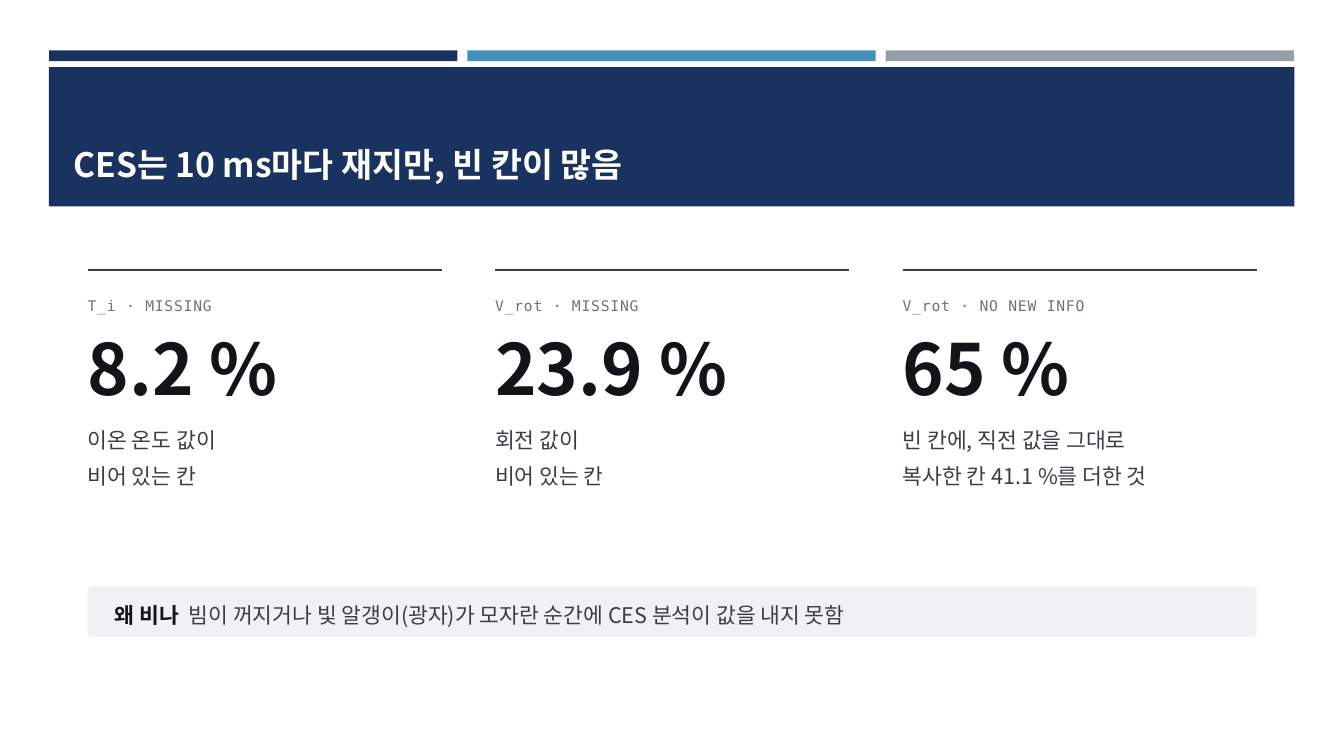
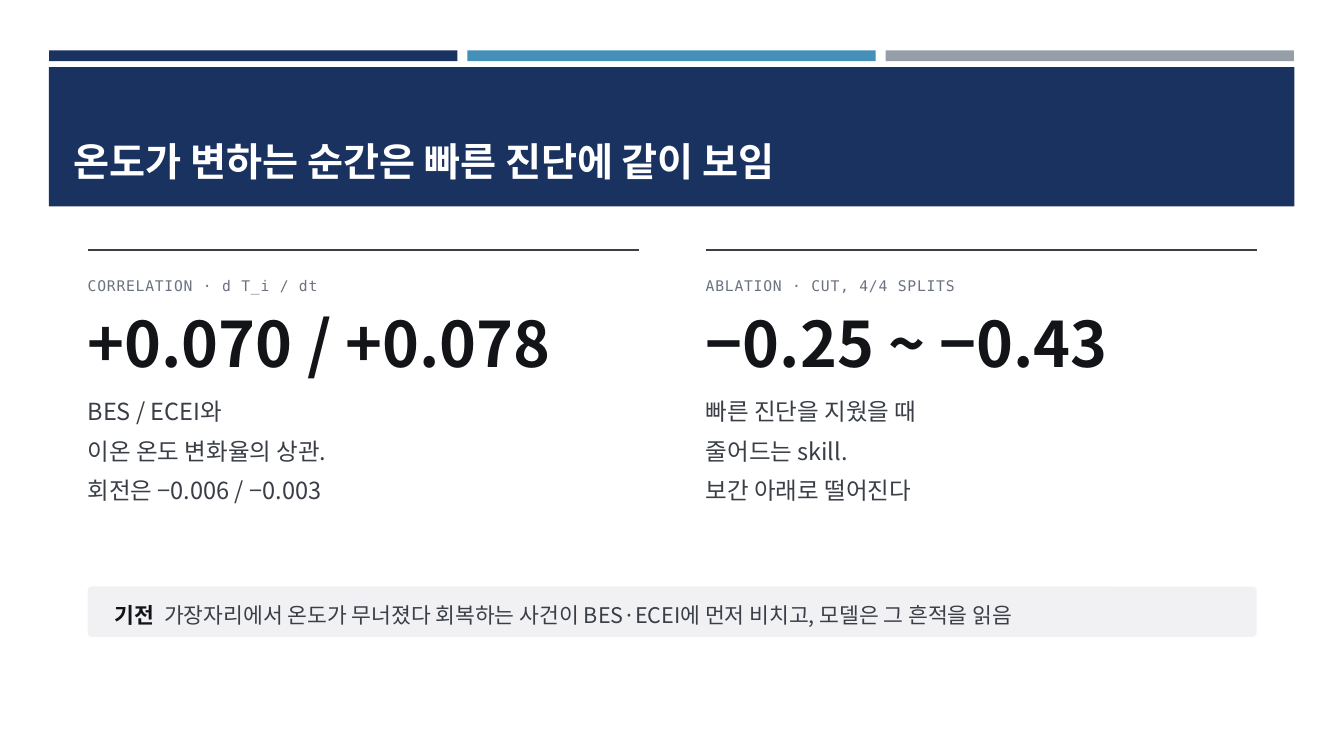
from lxml import etree
from pptx import Presentation
from pptx.dml.color import RGBColor
from pptx.enum.shapes import MSO_CONNECTOR, MSO_SHAPE
from pptx.enum.text import MSO_ANCHOR, MSO_AUTO_SIZE, PP_ALIGN
from pptx.oxml.ns import qn
from pptx.util import Cm, Pt

RECT, ROUND_RECT = MSO_SHAPE.RECTANGLE, MSO_SHAPE.ROUNDED_RECTANGLE
STRAIGHT = MSO_CONNECTOR.STRAIGHT
TOP, MIDDLE, BOTTOM = MSO_ANCHOR.TOP, MSO_ANCHOR.MIDDLE, MSO_ANCHOR.BOTTOM
LEFT, NO_FIT = PP_ALIGN.LEFT, MSO_AUTO_SIZE.NONE

# Shared look
NAVY, BLUE, GREY = "1A3260", "4590B8", "969FA7"
WHITE, INK, BODY, MUTED, PANEL = "FFFFFF", "121418", "3A3F47", "6B7280", "F1F1F4"
SANS, MONO = "Noto Sans CJK KR", "DejaVu Sans Mono"

# Content area, in centimetres
MARGIN, CONTENT_W = 2.21, 29.46


def rgb(value):
    return RGBColor.from_string(value)


def style(name, size, color, bold=False, spacing=0):
    return {"font": {"name": name, "size": Pt(size), "bold": bold},
            "color": color, "spacing": spacing}


LABEL = style(MONO, 10.5, MUTED, spacing=0.6)
NOTE_HEAD = style(SANS, 15.4, INK, bold=True)
NOTE_GAP = style(SANS, 15.4, INK, bold=True, spacing=3.4)
NOTE_BODY = style(SANS, 15.4, BODY)


def add_run(p, text, look):
    r = p.add_run()
    r.text = text
    for key, value in look["font"].items():
        setattr(r.font, key, value)
    r.font.color.rgb = rgb(look["color"])
    # East Asian typeface and letter spacing
    props = r.font._element
    etree.SubElement(props, qn("a:ea")).set("typeface", look["font"]["name"])
    if look["spacing"]:
        props.set("spc", str(round(look["spacing"] * 100)))


def format_frame(tf, anchor=TOP, inset=0):
    frame = {"word_wrap": True, "auto_size": NO_FIT, "vertical_anchor": anchor,
             "margin_left": Cm(inset), "margin_right": Cm(inset),
             "margin_top": 0, "margin_bottom": 0}
    for key, value in frame.items():
        setattr(tf, key, value)


def add_text(s, x, y, w, h, lines, look, line_spacing=1.0):
    tf = s.shapes.add_textbox(Cm(x), Cm(y), Cm(w), Cm(h)).text_frame
    format_frame(tf)
    for i, line in enumerate(lines):
        p = tf.add_paragraph() if i else tf.paragraphs[0]
        p.line_spacing = line_spacing
        add_run(p, line, look)


def add_block(s, kind, x, y, w, h, color):
    sp = s.shapes.add_shape(kind, Cm(x), Cm(y), Cm(w), Cm(h))
    sp.shadow.inherit = False
    sp.fill.solid()
    sp.fill.fore_color.rgb = rgb(color)
    sp.line.fill.background()
    return sp


def add_rule(s, x, y, w):
    line = s.shapes.add_connector(STRAIGHT, Cm(x), Cm(y), Cm(x + w), Cm(y))
    line.line.color.rgb = rgb(BODY)
    line.line.width = Pt(1.25)
    etree.SubElement(line.element.spPr, qn("a:effectLst"))


def add_bands(s):
    """Three thin bars above the wide title band, placed behind the title."""
    bar_w, gap = 10.29, 0.25
    blocks = [add_block(s, RECT, 1.24 + i * (bar_w + gap), 1.27, bar_w, 0.27, color)
              for i, color in enumerate((NAVY, BLUE, GREY))]
    blocks.append(add_block(s, RECT, 1.23, 1.69, 31.39, 3.51, NAVY))
    for sp in blocks:
        s.shapes.title.element.addprevious(sp.element)


def add_title(s, text, size):
    title = s.shapes.title
    box = {"left": 1.6, "top": 2.03, "width": 30.63, "height": 2.74}
    for key, value in box.items():
        setattr(title, key, Cm(value))
    tf = title.text_frame
    format_frame(tf, BOTTOM, 0.25)
    tf.margin_top = tf.margin_bottom = Cm(0.13)
    p = tf.paragraphs[0]
    p.alignment = LEFT
    add_run(p, text, style(SANS, size, WHITE, bold=True))


def add_figures(s, top, gap, body_drop, value_size, body_size, figures):
    """Equal columns, each with a rule, a label, a big value and a text."""
    w = (CONTENT_W - gap * (len(figures) - 1)) / len(figures)
    value_look = style(SANS, value_size, INK, bold=True)
    body_look = style(SANS, body_size, BODY)
    for i, (label, value, lines) in enumerate(figures):
        x = MARGIN + i * (w + gap)
        add_rule(s, x, top, w)
        add_text(s, x, top + 0.56, w, 0.58, [label], LABEL, 1.25)
        add_text(s, x, top + 1.37, w, 2.21, [value], value_look)
        add_text(s, x, top + body_drop, w, 3.05, lines, body_look, 1.4)


def add_note(s, head, text):
    sp = add_block(s, ROUND_RECT, MARGIN, 14.78, CONTENT_W, 1.27, PANEL)
    sp.adjustments[0] = 0.08
    format_frame(sp.text_frame, MIDDLE, 0.66)
    p = sp.text_frame.paragraphs[0]
    p.alignment = LEFT
    p.line_spacing = 1.25
    add_run(p, head, NOTE_HEAD)
    add_run(p, " ", NOTE_GAP)
    add_run(p, text, NOTE_BODY)


def add_slide(prs, title, title_size, note, **columns):
    s = prs.slides.add_slide(prs.slide_layouts[5])
    add_bands(s)
    add_title(s, title, title_size)
    add_figures(s, **columns)
    add_note(s, *note)


def main():
    prs = Presentation()
    prs.slide_width, prs.slide_height = Cm(33.87), Cm(19.05)

    # Missing values
    add_slide(
        prs, "CES는 10 ms마다 재지만, 빈 칸이 많음", 24,
        ("왜 비나", "빔이 꺼지거나 빛 알갱이(광자)가 모자란 순간에 CES 분석이 값을 내지 못함"),
        top=6.81, gap=1.35, body_drop=3.68, value_size=50.4, body_size=15.4,
        figures=[
            ("T_i · MISSING", "8.2 %", ["이온 온도 값이", "비어 있는 칸"]),
            ("V_rot · MISSING", "23.9 %", ["회전 값이", "비어 있는 칸"]),
            ("V_rot · NO NEW INFO", "65 %",
             ["빈 칸에, 직전 값을 그대로", "복사한 칸 41.1 %를 더한 것"]),
        ])

    # Link with the fast diagnostics
    add_slide(
        prs, "온도가 변하는 순간은 빠른 진단에 같이 보임", 28,
        ("기전", "가장자리에서 온도가 무너졌다 회복하는 사건이 BES·ECEI에 먼저 비치고, "
                 "모델은 그 흔적을 읽음"),
        top=6.3, gap=1.69, body_drop=3.43, value_size=44.8, body_size=16.8,
        figures=[
            ("CORRELATION · d T_i / dt", "+0.070 / +0.078",
             ["BES / ECEI와", "이온 온도 변화율의 상관.", "회전은 −0.006 / −0.003"]),
            ("ABLATION · CUT, 4/4 SPLITS", "−0.25 ~ −0.43",
             ["빠른 진단을 지웠을 때", "줄어드는 skill.", "보간 아래로 떨어진다"]),
        ])

    prs.save("out.pptx")


if __name__ == "__main__":
    main()
